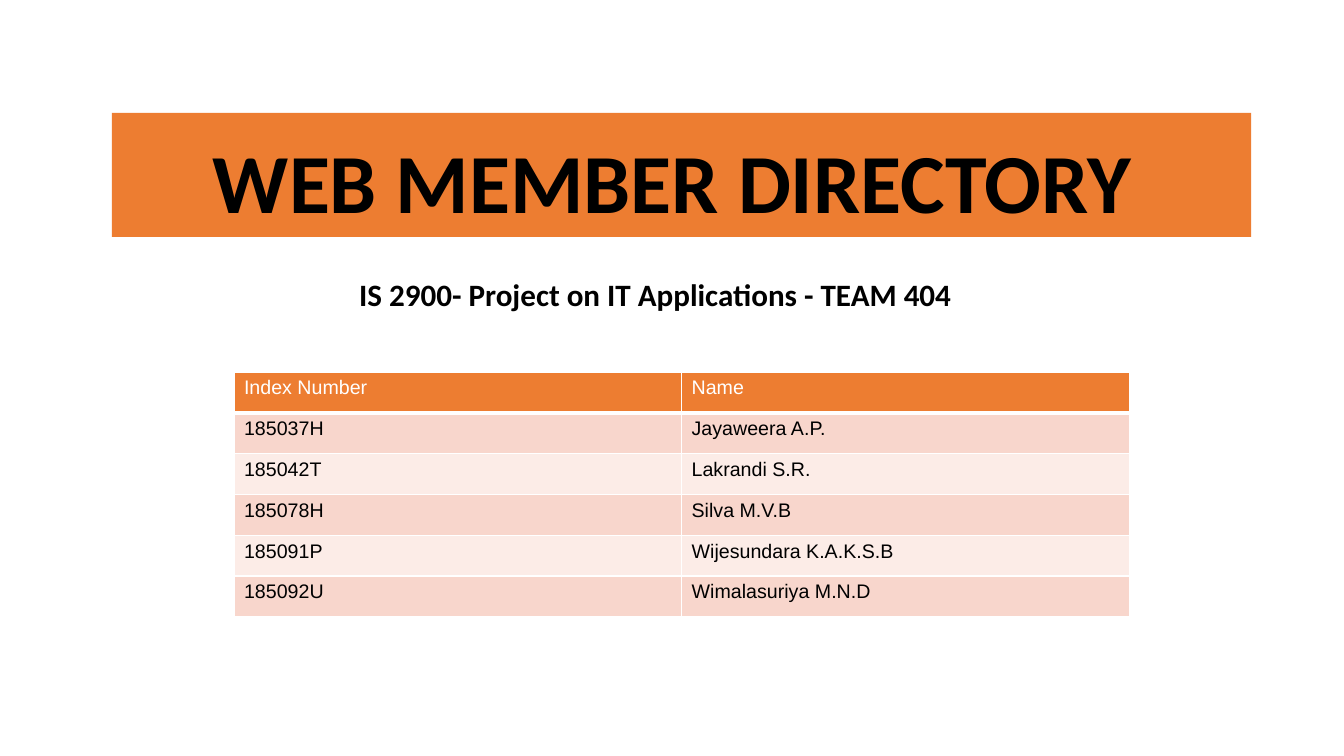
import pptx
import pptx.dml.color
import pptx.enum.shapes
import pptx.enum.text
import pptx.oxml
import pptx.oxml.ns
import pptx.util
from dataclasses import dataclass

Inches = pptx.util.Inches
Align = pptx.enum.text.PP_ALIGN
Anchor = pptx.enum.text.MSO_ANCHOR

TITLE = "WEB MEMBER DIRECTORY "
SUBTITLE = "IS 2900- Project on IT Applications - TEAM 404"
HEADER = ("Index Number", "Name")
MEMBERS = [
    ("185037H", "Jayaweera A.P."),
    ("185042T", "Lakrandi S.R."),
    ("185078H", "Silva M.V.B"),
    ("185091P", "Wijesundara K.A.K.S.B"),
    ("185092U", "Wimalasuriya M.N.D"),
]

# left, top, width, height in inches
TITLE_AREA = (1.11, 1.12, 11.3, 1.23)
SUBTITLE_AREA = (3.44, 2.72, 6.12, 0.62)
TABLE_AREA = (2.32, 3.69, 8.88, 2.43)


@dataclass(frozen=True)
class Theme:
    accent: str = "ED7D31"
    bands: tuple = ("F8D6CC", "FCECE7")
    dark: str = "000000"
    light: str = "FFFFFF"
    heading_font: str = "Calibri"
    table_font: str = "Arial"
    title_size: float = 60
    subtitle_size: float = 22.2
    table_size: float = 14
    rule: float = 1
    header_rule: float = 3


THEME = Theme()


def rgb(color):
    return pptx.dml.color.RGBColor.from_string(color)


def paint(target, color):
    target.fill.solid()
    target.fill.fore_color.rgb = rgb(color)


def write(frame, text, *, size, font, color, bold=False, align=Align.LEFT,
          anchor=Anchor.TOP, spacing=1.0):
    frame.word_wrap = True
    frame.vertical_anchor = anchor
    para = frame.paragraphs[0]
    para.alignment = align
    para.line_spacing = spacing
    span = para.add_run()
    span.text = text
    span.font.size = pptx.util.Pt(size)
    span.font.name = font
    span.font.bold = bold
    span.font.color.rgb = rgb(color)


def set_borders(cell, color, **widths):
    """Draw cell borders; widths maps L, R, T and B, in that order, to points."""
    properties = cell._tc.get_or_add_tcPr()
    for index, (side, width) in enumerate(widths.items()):
        properties.insert(index, pptx.oxml.parse_xml(
            f'<a:ln{side} {pptx.oxml.ns.nsdecls("a")} w="{pptx.util.Pt(width)}">'
            f'<a:solidFill><a:srgbClr val="{color}"/></a:solidFill></a:ln{side}>'))


def add_headings(page):
    banner = page.shapes.add_shape(pptx.enum.shapes.MSO_SHAPE.RECTANGLE,
                                   *map(Inches, TITLE_AREA))
    banner.shadow.inherit = False
    banner.line.fill.background()
    paint(banner, THEME.accent)
    subtitle = page.shapes.add_textbox(*map(Inches, SUBTITLE_AREA))
    shared = dict(font=THEME.heading_font, color=THEME.dark, bold=True,
                  align=Align.CENTER, spacing=0.9)
    write(banner.text_frame, TITLE, size=THEME.title_size,
          anchor=Anchor.BOTTOM, **shared)
    write(subtitle.text_frame, SUBTITLE, size=THEME.subtitle_size, **shared)


def add_member_table(page):
    rows = [HEADER, *MEMBERS]
    table = page.shapes.add_table(len(rows), len(HEADER),
                                  *map(Inches, TABLE_AREA)).table
    for r, values in enumerate(rows):
        is_header = r == 0
        fill = THEME.accent if is_header else THEME.bands[(r - 1) % 2]
        color = THEME.light if is_header else THEME.dark
        top = THEME.header_rule if r == 1 else THEME.rule
        bottom = THEME.header_rule if is_header else THEME.rule
        for c, text in enumerate(values):
            cell = table.cell(r, c)
            paint(cell, fill)
            write(cell.text_frame, text, size=THEME.table_size,
                  font=THEME.table_font, color=color)
            set_borders(cell, THEME.light, L=THEME.rule, R=THEME.rule,
                        T=top, B=bottom)


def main():
    deck = pptx.Presentation()
    deck.slide_width, deck.slide_height = Inches(13.33), Inches(7.5)
    page = deck.slides.add_slide(deck.slide_layouts[6])
    add_headings(page)
    add_member_table(page)
    deck.save("out.pptx")


if __name__ == "__main__":
    main()
